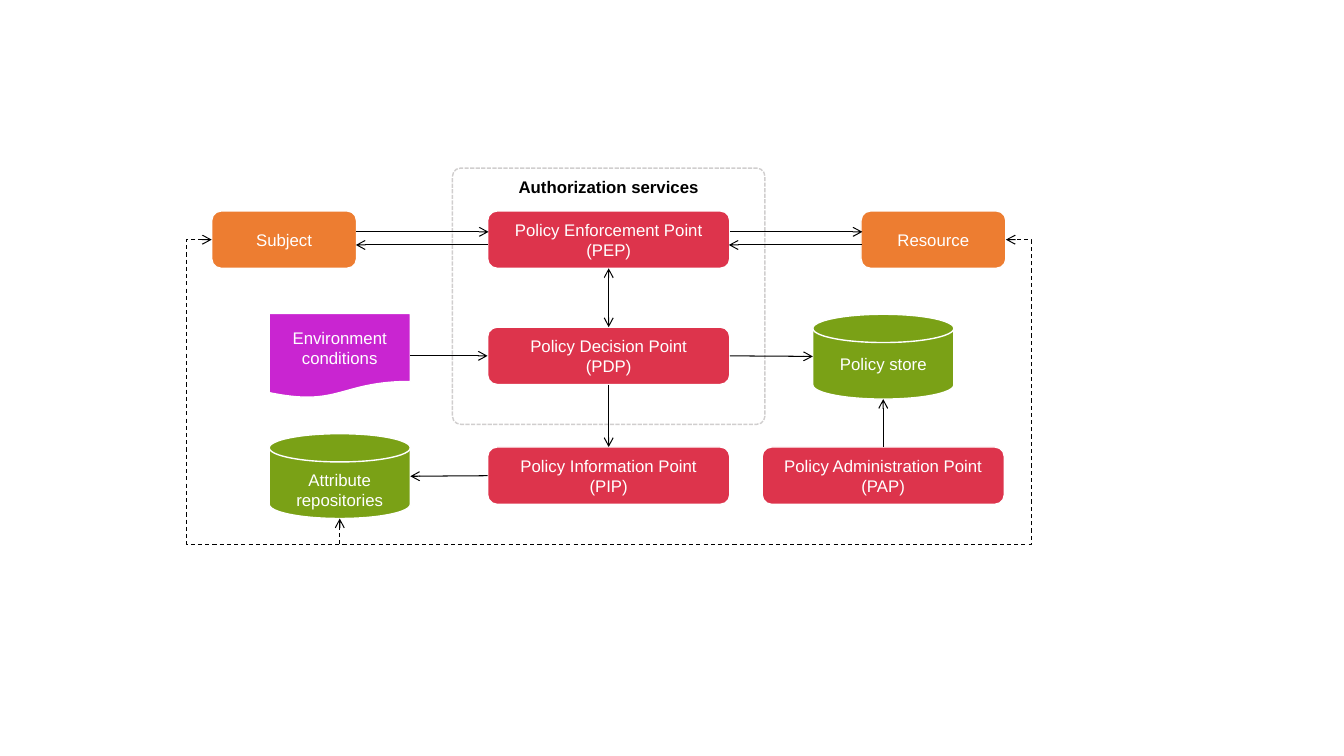
from lxml import etree
from pptx import Presentation
from pptx.dml.color import RGBColor
from pptx.enum.dml import MSO_LINE as Dash
from pptx.enum.shapes import MSO_CONNECTOR, MSO_SHAPE as Shape
from pptx.enum.text import MSO_ANCHOR, PP_ALIGN
from pptx.oxml.ns import qn
from pptx.util import Pt

WHITE = RGBColor(0xFF, 0xFF, 0xFF)
BLACK = RGBColor(0x00, 0x00, 0x00)
GREY = RGBColor(0xD0, 0xCE, 0xCE)
ORANGE = RGBColor(0xED, 0x7D, 0x31)
RED = RGBColor(0xDD, 0x34, 0x4C)
PURPLE = RGBColor(0xC9, 0x25, 0xD1)
GREEN = RGBColor(0x7A, 0xA1, 0x16)


def write_text(shape, lines, color, bold=False):
    paragraph = shape.text_frame.paragraphs[0]
    paragraph.alignment = PP_ALIGN.CENTER
    for index, line in enumerate(lines):
        if index:
            paragraph.add_line_break()
        run = paragraph.add_run()
        run.text = line
        run.font.name = "Arial"
        run.font.size = Pt(12)
        run.font.bold = bold
        run.font.color.rgb = color


def style_arrow(arrow, ends, dash=None):
    arrow.line.color.rgb = BLACK
    arrow.line.width = Pt(0.75)
    arrow.line.dash_style = dash
    line = arrow.line._get_or_add_ln()
    for end in ends:
        etree.SubElement(line, qn(f"a:{end}"), type="arrow")


presentation = Presentation()
presentation.slide_width = Pt(960)
presentation.slide_height = Pt(540)
slide = presentation.slides.add_slide(presentation.slide_layouts[6])
shapes = slide.shapes

ROUND, DISK = Shape.ROUNDED_RECTANGLE, Shape.FLOWCHART_MAGNETIC_DISK
SMALL, WIDE, STORE = (103.5, 41), (173, 41), (100.8, 60.6)
node_specs = [
    ("subject", ROUND, 151.2, 150.7, SMALL, ORANGE, ["Subject"]),
    ("enforcement", ROUND, 348.3, 150.7, WIDE, RED, ["Policy Enforcement Point", "(PEP)"]),
    ("resource", ROUND, 615, 150.7, SMALL, ORANGE, ["Resource"]),
    ("environment", Shape.FLOWCHART_DOCUMENT, 192.3, 223.9, STORE, PURPLE, ["Environment", "conditions"]),
    ("decision", ROUND, 348.3, 233.7, WIDE, RED, ["Policy Decision Point", "(PDP)"]),
    ("repositories", DISK, 192.3, 309.8, STORE, GREEN, ["Attribute repositories"]),
    ("policy_store", DISK, 580.6, 224.5, STORE, GREEN, ["Policy store"]),
    ("administration", ROUND, 544.4, 319.3, WIDE, RED, ["Policy Administration Point", "(PAP)"]),
    ("information", ROUND, 348.3, 319.3, WIDE, RED, ["Policy Information Point", "(PIP)"]),
]
nodes = {}
for key, kind, left, top, (width, height), color, lines in node_specs:
    node = shapes.add_shape(kind, Pt(left), Pt(top), Pt(width), Pt(height))
    node.shadow.inherit = False
    node.fill.solid()
    node.fill.fore_color.rgb = color
    node.line.color.rgb = WHITE
    node.line.width = Pt(1)
    node.text_frame.word_wrap = True
    node.text_frame.vertical_anchor = MSO_ANCHOR.MIDDLE
    write_text(node, lines, WHITE)
    nodes[key] = node
nodes["repositories"].text_frame.margin_top = Pt(9.2)
nodes["repositories"].text_frame.margin_bottom = Pt(0)

services = shapes.add_shape(ROUND, Pt(323.2), Pt(120.1), Pt(223.2), Pt(183))
services.adjustments[0] = 0.032
services.shadow.inherit = False
services.fill.background()
services.line.color.rgb = GREY
services.line.width = Pt(1)
services.line.dash_style = Dash.SQUARE_DOT

heading = shapes.add_textbox(Pt(355.3), Pt(123), Pt(159), Pt(21.8))
heading.text_frame.word_wrap = True
write_text(heading, ["Authorization services"], BLACK, bold=True)

TOP, LEFT, BOTTOM, RIGHT = range(4)
HEAD, TAIL = "headEnd", "tailEnd"
arrow_specs = [
    ((254.4, 165.6), (349, 165.6), None, None, [TAIL], None),
    ((348.3, 175), (254.2, 175), None, None, [TAIL], None),
    ((521.3, 165.6), (616, 165.6), None, None, [TAIL], None),
    ((615.4, 175), (520.6, 175), None, None, [TAIL], None),
    ((434.8, 191.7), (434.8, 233.7), ("enforcement", BOTTOM), ("decision", TOP), [HEAD, TAIL], None),
    ((434.8, 274.7), (434.8, 319.3), ("decision", BOTTOM), ("information", TOP), [TAIL], None),
    ((348.3, 339.8), (293.1, 340.2), ("information", LEFT), None, [TAIL], None),
    ((293.1, 254.2), (348.3, 254.2), ("environment", RIGHT), ("decision", LEFT), [TAIL], None),
    ((521.3, 254.2), (580.6, 254.6), ("decision", RIGHT), None, [TAIL], None),
    ((630.9, 319.3), (630.9, 285.1), ("administration", TOP), None, [TAIL], None),
    ((242.7, 388.8), (242.7, 370.4), None, None, [TAIL], Dash.DASH),
]
for start, finish, source, target, ends, dash in arrow_specs:
    arrow = shapes.add_connector(MSO_CONNECTOR.STRAIGHT, *map(Pt, start + finish))
    if source:
        arrow.begin_connect(nodes[source[0]], source[1])
    if target:
        arrow.end_connect(nodes[target[0]], target[1])
    style_arrow(arrow, ends, dash)
    etree.SubElement(arrow._element.spPr, qn("a:effectLst"))

builder = shapes.build_freeform(Pt(151.2), Pt(171.2))
corners = [(133.2, 171.2), (133.2, 388.8), (736.6, 388.8), (736.6, 171.2), (718.5, 171.2)]
builder.add_line_segments([(Pt(x), Pt(y)) for x, y in corners], close=False)
attribute_route = builder.convert_to_shape()
attribute_route.shadow.inherit = False
attribute_route.fill.background()
style_arrow(attribute_route, [HEAD, TAIL], Dash.DASH)

presentation.save("out.pptx")
